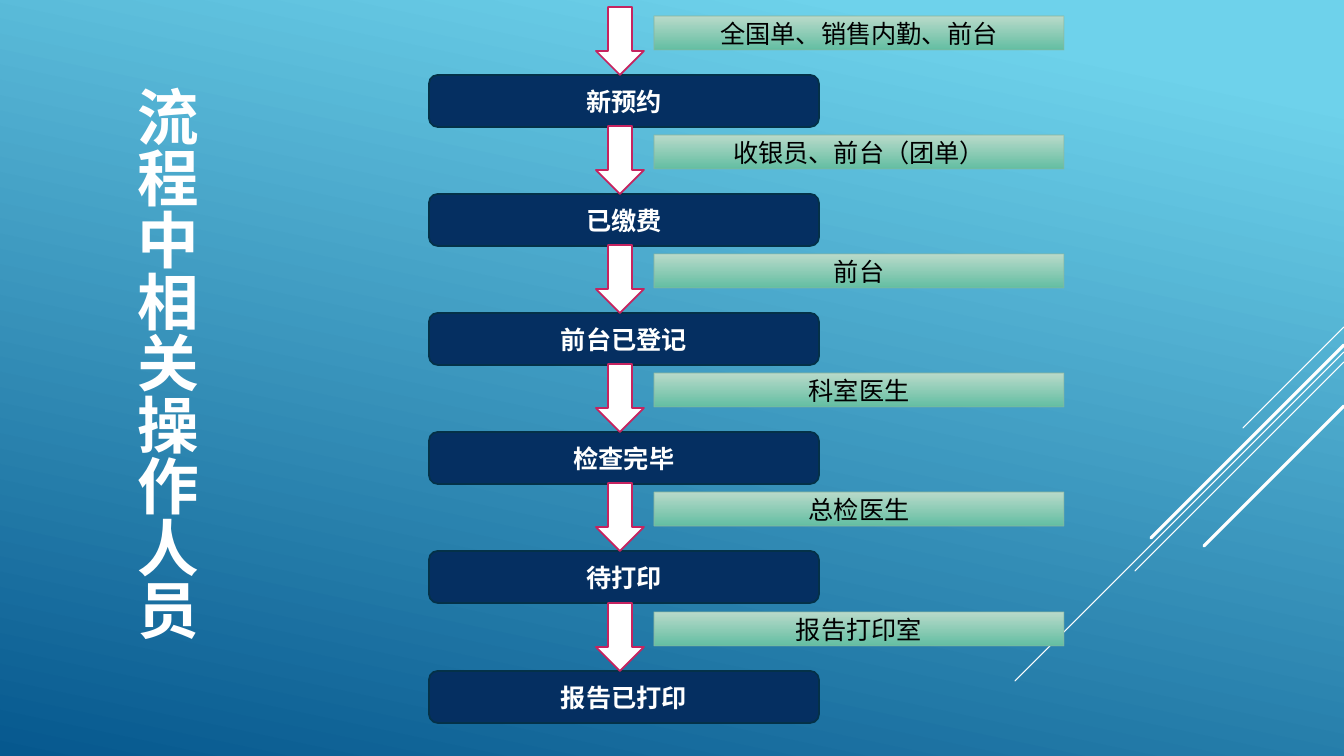
from lxml.etree import SubElement
from pptx import Presentation
from pptx.dml.color import RGBColor
from pptx.enum.shapes import MSO_CONNECTOR, MSO_SHAPE
from pptx.enum.text import MSO_ANCHOR, PP_ALIGN
from pptx.oxml.ns import qn
from pptx.util import Emu, Pt

# Content: who acts, then the status that follows
TITLE = "流程中相关操作人员"
STEPS = [
    ("全国单、销售内勤、前台", "新预约"),
    ("收银员、前台（团单）", "已缴费"),
    ("前台", "前台已登记"),
    ("科室医生", "检查完毕"),
    ("总检医生", "待打印"),
    ("报告打印室", "报告已打印"),
]
# Diagonal lines from the right edge: start y, horizontal run, width in pt
DIAGONALS = [(327, 101, 0.75), (352, 329, 0.75), (362, 209, 0.75),
             (345, 193, 2.25), (406, 140, 2.25)]

WHITE = RGBColor(0xFF, 0xFF, 0xFF)
BLACK = RGBColor(0x00, 0x00, 0x00)
SKY = RGBColor(0x6E, 0xD2, 0xEB)
OCEAN = RGBColor(0x06, 0x58, 0x8E)
NAVY = RGBColor(0x05, 0x2F, 0x61)
NAVY_EDGE = RGBColor(0x04, 0x31, 0x48)
CRIMSON = RGBColor(0xC6, 0x23, 0x5F)
MINT = RGBColor(0xB9, 0xDA, 0xCA)
GREEN = RGBColor(0x63, 0xBE, 0xA2)
GREEN_EDGE = RGBColor(0x8A, 0xB7, 0xA1)

# Layout in px
WIDTH, HEIGHT = 1344, 756
SPAN = 596  # first row to last row
ARROW = (596, 7, 48, 68)
LABEL = (654, 16, 410, 34)
STATUS = (429, 75, 390, 52)
TITLE_BOX = (113, 76, 95, 614)


def px(n):
    return Emu(round(n * 914400 / 100.8))


def set_gradient(fill, stops, angle):
    fill.gradient()
    fill.gradient_angle = 360 - angle
    for stop, (position, color) in zip(fill.gradient_stops, stops):
        stop.position = position
        stop.color.rgb = color


def write(tf, text, **fmt):
    p = tf.paragraphs[0]
    r = p.add_run()
    r.text = text
    for name, value in {"name": "Quicksand", **fmt}.items():
        setattr(r.font, name, value)
    return p


def add_box(kind, box, row, edge, width):
    x, y, w, h = box
    y += SPAN * row // (len(STEPS) - 1)
    sp = s.shapes.add_shape(kind, px(x), px(y), px(w), px(h))
    sp.shadow.inherit = False
    sp.line.color.rgb = edge
    sp.line.width = Pt(width)
    return sp


def label(sp, text, color, bold):
    tf = sp.text_frame
    tf.vertical_anchor = MSO_ANCHOR.MIDDLE
    p = write(tf, text, size=Pt(18), bold=bold)
    p.runs[0].font.color.rgb = color
    p.alignment = PP_ALIGN.CENTER


prs = Presentation()
prs.slide_width, prs.slide_height = px(WIDTH), px(HEIGHT)
s = prs.slides.add_slide(prs.slide_layouts[6])
set_gradient(s.background.fill, [(0.1, SKY), (1, OCEAN)], 102)

# Diagonal lines at 45 degrees
for y, run, width in DIAGONALS:
    line = s.shapes.add_connector(MSO_CONNECTOR.STRAIGHT, px(WIDTH), px(y),
                                  px(WIDTH - run), px(y + run))
    line.line.color.rgb = WHITE
    line.line.width = Pt(width)
    spPr = line._element.spPr
    spPr.find(qn("a:ln")).set("cap", "rnd")
    SubElement(spPr, qn("a:effectLst"))

# Status boxes
for row, (_, status) in enumerate(STEPS):
    sp = add_box(MSO_SHAPE.ROUNDED_RECTANGLE, STATUS, row, NAVY_EDGE, 1.25)
    sp.fill.solid()
    sp.fill.fore_color.rgb = NAVY
    label(sp, status, WHITE, True)

# Arrows and operator labels
for row, (operator, _) in enumerate(STEPS):
    sp = add_box(MSO_SHAPE.DOWN_ARROW, ARROW, row, CRIMSON, 1.25)
    sp.fill.solid()
    sp.fill.fore_color.rgb = WHITE

    sp = add_box(MSO_SHAPE.RECTANGLE, LABEL, row, GREEN_EDGE, 0.75)
    set_gradient(sp.fill, [(0, MINT), (1, GREEN)], 90)
    edge = sp._element.spPr.find(qn("a:ln")).find(".//" + qn("a:srgbClr"))
    SubElement(edge, qn("a:alpha"), val="60000")
    label(sp, operator, BLACK, False)

# Vertical title
tf = s.shapes.add_textbox(*map(px, TITLE_BOX)).text_frame
tf.word_wrap = True
tf._txBody.bodyPr.set("vert", "eaVert")
p = write(tf, TITLE, size=Pt(44), bold=True)
p.runs[0].font.color.rgb = WHITE

prs.save("out.pptx")
